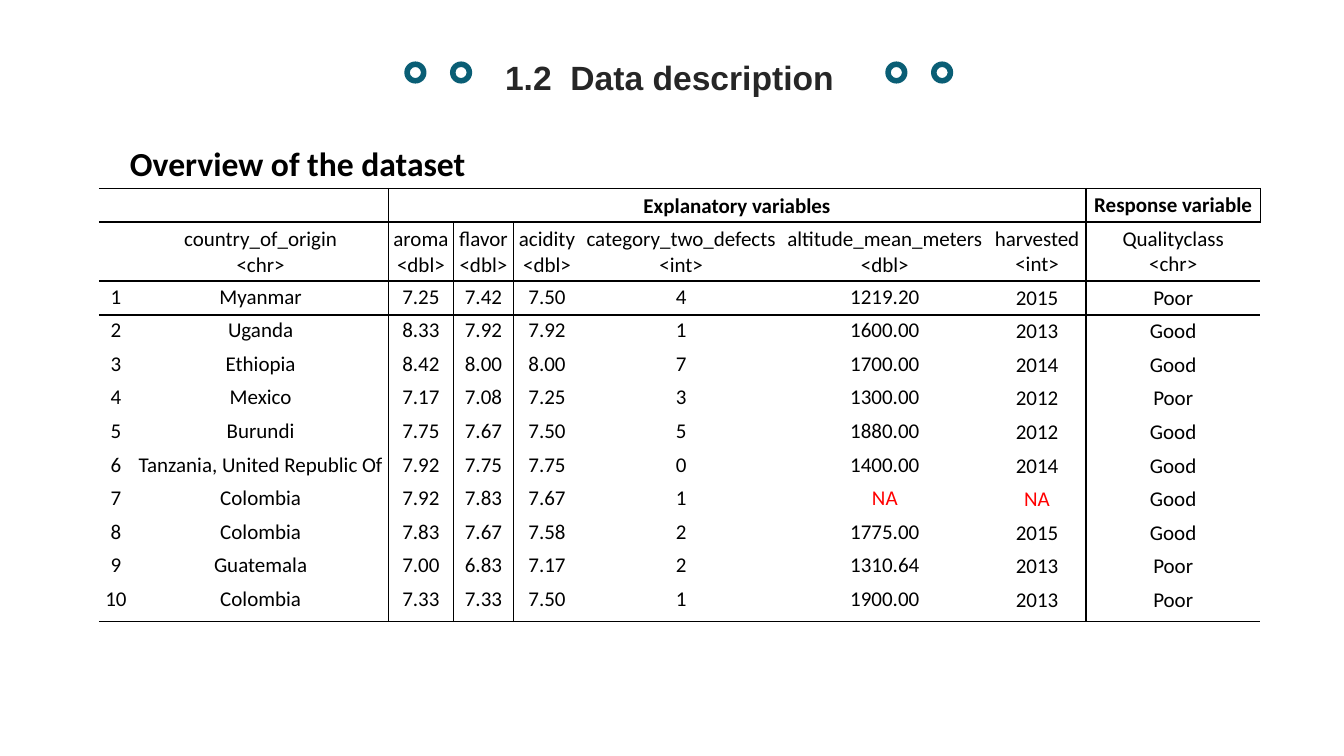
from lxml import etree
from pptx import Presentation
from pptx.dml.color import RGBColor
from pptx.enum.shapes import MSO_SHAPE
from pptx.enum.text import MSO_ANCHOR, MSO_AUTO_SIZE, PP_ALIGN
from pptx.oxml.ns import qn
from pptx.util import Inches, Pt

DONUT = MSO_SHAPE.DONUT
TOP, BOTTOM = MSO_ANCHOR.TOP, MSO_ANCHOR.BOTTOM
LEFT, CENTER, JUSTIFY = PP_ALIGN.LEFT, PP_ALIGN.CENTER, PP_ALIGN.JUSTIFY
GROW = MSO_AUTO_SIZE.SHAPE_TO_FIT_TEXT

SLIDE_W, SLIDE_H = Inches(13.33), Inches(7.5)
TEAL, BLACK, CHARCOAL, RED = "0A5E75", "000000", "262626", "FF0000"
PLAIN_TABLE = "{2D5ABB26-0587-4C30-8999-92F81FD0307C}"

# Column widths and row heights, in percent of the slide
COLUMNS = [2.55, 18.98, 4.88, 4.43, 5.03, 14.93, 15.38, 7.28, 12.98]
ROWS = [4.45, 7.8] + [4.45] * 9 + [5.07]
ORIGIN, AROMA, HARVESTED, QUALITY = 1, 2, 7, 8
LAST_ROW = len(ROWS) - 1

GROUPS = ["", "", "Explanatory variables", "", "", "", "", "", "Response variable"]
VARIABLES = [
    "", "country_of_origin\n<chr>", "aroma\n<dbl>", "flavor\n<dbl>",
    "acidity\n<dbl>", "category_two_defects\n<int>",
    "altitude_mean_meters\n<dbl>", "harvested\n<int>", "Qualityclass\n<chr>",
]
COFFEES = [
    ["Myanmar", "7.25", "7.42", "7.50", "4", "1219.20", "2015", "Poor"],
    ["Uganda", "8.33", "7.92", "7.92", "1", "1600.00", "2013", "Good"],
    ["Ethiopia", "8.42", "8.00", "8.00", "7", "1700.00", "2014", "Good"],
    ["Mexico", "7.17", "7.08", "7.25", "3", "1300.00", "2012", "Poor"],
    ["Burundi", "7.75", "7.67", "7.50", "5", "1880.00", "2012", "Good"],
    ["Tanzania, United Republic Of", "7.92", "7.75", "7.75", "0", "1400.00", "2014", "Good"],
    ["Colombia", "7.92", "7.83", "7.67", "1", "NA", "NA", "Good"],
    ["Colombia", "7.83", "7.67", "7.58", "2", "1775.00", "2015", "Good"],
    ["Guatemala", "7.00", "6.83", "7.17", "2", "1310.64", "2013", "Poor"],
    ["Colombia", "7.33", "7.33", "7.50", "1", "1900.00", "2013", "Poor"],
]


def across(percent):
    return round(SLIDE_W * percent / 100)


def down(percent):
    return round(SLIDE_H * percent / 100)


def box(left, top, width, height):
    return across(left), down(top), across(width), down(height)


def color(value):
    return RGBColor.from_string(value)


def set_all(target, values):
    for name, value in values.items():
        setattr(target, name, value)


def write(frame, words, size, font, ink, bold=False, align=LEFT):
    frame.text = words
    for paragraph in frame.paragraphs:
        paragraph.alignment = align
        for run in paragraph.runs:
            set_all(run.font, {"size": Pt(size), "name": font, "bold": bold})
            run.font.color.rgb = color(ink)
        if not words:  # keeps an empty cell from stretching its row
            paragraph._p.get_or_add_endParaRPr().set("sz", str(size * 100))


def add_title(slide, place, words):
    title = slide.shapes.title
    set_all(title, dict(zip(("left", "top", "width", "height"), place)))
    set_all(title.text_frame, {"word_wrap": True, "auto_size": GROW,
                               "vertical_anchor": TOP})
    write(title.text_frame, words, 24, "Arial", CHARCOAL, True, JUSTIFY)


def add_heading(slide, place, words):
    frame = slide.shapes.add_textbox(*place).text_frame
    set_all(frame, {"word_wrap": False, "auto_size": GROW})
    write(frame, words, 24, "Calibri", BLACK, True)


def add_ring(slide, left):
    ring = slide.shapes.add_shape(DONUT, *box(left, 8.13, 1.65, 2.93))
    ring.shadow.inherit = False
    ring.fill.solid()
    ring.fill.fore_color.rgb = color(TEAL)
    ring.line.fill.background()


def rule_right(row, column):
    return column in (ORIGIN, HARVESTED) or (column == AROMA and row > 0)


def rule_below(row):
    return {-1: 1, 0: 1, 1: 1.5, LAST_ROW: 1}.get(row, 0)


def add_borders(cell, row, column):
    properties = cell._tc.get_or_add_tcPr()
    # Schema order: left, right, top, bottom
    widths = {
        "a:lnL": rule_right(row, column - 1),
        "a:lnR": rule_right(row, column),
        "a:lnT": rule_below(row - 1),
        "a:lnB": rule_below(row),
    }
    for side, width in widths.items():
        if width:
            line = etree.SubElement(properties, qn(side), w=str(Pt(width)))
            fill = etree.SubElement(line, qn("a:solidFill"))
            etree.SubElement(fill, qn("a:srgbClr"), val=BLACK)


def fill_cell(cell, row, column, words):
    wide = column in (HARVESTED, QUALITY)
    inset = Inches(0.04 if wide else 0.03)
    set_all(cell, {
        "margin_left": inset, "margin_right": inset,
        "margin_top": inset, "margin_bottom": inset,
        "vertical_anchor": BOTTOM if row < 2 else TOP,
    })
    ink = RED if words == "NA" else BLACK
    write(cell.text_frame, words, 15, "Calibri", ink, row == 0, CENTER)
    add_borders(cell, row, column)
    cell.fill.background()


def add_dataset(slide, left, top):
    place = box(left, top, sum(COLUMNS), sum(ROWS))
    table = slide.shapes.add_table(len(ROWS), len(COLUMNS), *place).table
    set_all(table, {"first_row": False, "horz_banding": False})
    table._tbl.tblPr.find(qn("a:tableStyleId")).text = PLAIN_TABLE
    for column, width in zip(table.columns, COLUMNS):
        column.width = across(width)
    for row, height in zip(table.rows, ROWS):
        row.height = down(height)

    numbered = [[str(n), *coffee] for n, coffee in enumerate(COFFEES, 1)]
    for r, record in enumerate([GROUPS, VARIABLES, *numbered]):
        for c, words in enumerate(record):
            fill_cell(table.cell(r, c), r, c, words)
    table.cell(0, AROMA).merge(table.cell(0, HARVESTED))


def main():
    deck = Presentation()
    set_all(deck, {"slide_width": SLIDE_W, "slide_height": SLIDE_H})
    slide = deck.slides.add_slide(deck.slide_layouts[5])

    # Title between two pairs of rings
    for pair_left in (30.08, 65.87):
        for step in (0, 3.4):
            add_ring(slide, pair_left + step)
    add_title(slide, box(36.83, 6.8, 27.31, 6.67), "1.2  Data description")

    # Dataset
    add_heading(slide, box(8.93, 18.27, 26.78, 6.67), "Overview of the dataset")
    add_dataset(slide, 7.35, 24.93)
    deck.save("out.pptx")


if __name__ == "__main__":
    main()
